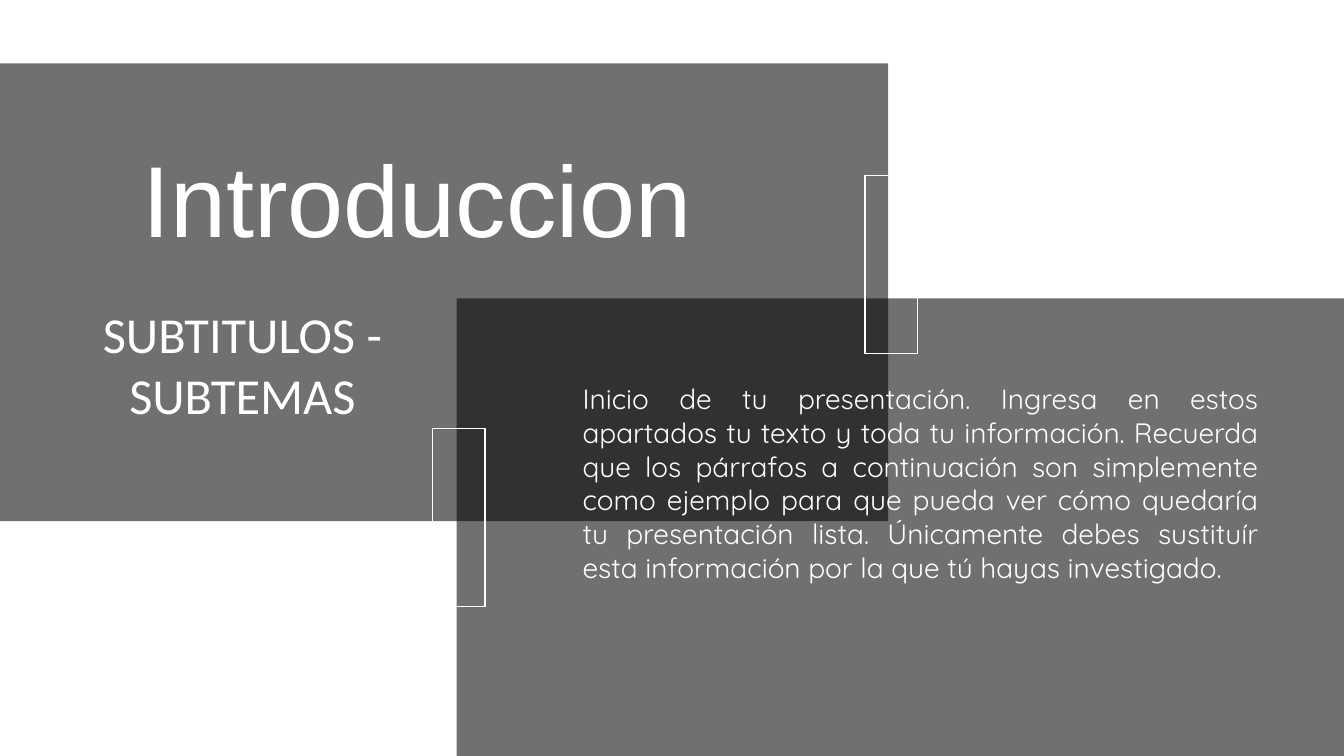
from pptx import Presentation
from pptx.dml.color import RGBColor
from pptx.enum.shapes import MSO_SHAPE as Shape
from pptx.enum.text import MSO_AUTO_SIZE as AutoSize, PP_ALIGN as Align
from pptx.oxml.ns import qn
from pptx.util import Inches, Pt
from lxml import etree

WHITE = "FFFFFF"
BLACK = "000000"
BODY = (
    "Inicio de tu presentación. Ingresa en estos apartados tu texto y toda tu "
    "información. Recuerda que los párrafos a continuación son simplemente como "
    "ejemplo para que pueda ver cómo quedaría tu presentación lista. Únicamente "
    "debes sustituír esta información por la que tú hayas investigado."
)


def color(value):
    return RGBColor.from_string(value)


def add_rectangle(page, left, top, width, height):
    rectangle = page.shapes.add_shape(
        Shape.RECTANGLE, Inches(left), Inches(top), Inches(width), Inches(height)
    )
    rectangle.shadow.inherit = False
    return rectangle


def add_panel(page, left, top):
    panel = add_rectangle(page, left, top, 8.81, 4.54)
    panel.fill.solid()
    panel.fill.fore_color.rgb = color(BLACK)
    panel.line.fill.background()
    fill_color = panel.fill._xPr.find(qn("a:solidFill"))[0]
    etree.SubElement(fill_color, qn("a:alpha")).set("val", "56000")


def add_frame(page, left, top):
    frame = add_rectangle(page, left, top, 0.52, 1.77)
    frame.fill.background()
    frame.line.color.rgb = color(WHITE)
    frame.line.width = Pt(1)


def add_text(page, left, top, width, height, text, size, font, align=Align.CENTER):
    box = page.shapes.add_textbox(
        Inches(left), Inches(top), Inches(width), Inches(height)
    )
    box.text_frame.word_wrap = True
    box.text_frame.auto_size = AutoSize.SHAPE_TO_FIT_TEXT
    box.text_frame.text = text
    para = box.text_frame.paragraphs[0]
    para.alignment = align
    span = para.runs[0]
    span.font.size = Pt(size)
    span.font.name = font
    span.font.color.rgb = color(WHITE)


def main():
    deck = Presentation()
    deck.slide_width = Inches(13.33)
    deck.slide_height = Inches(7.5)
    page = deck.slides.add_slide(deck.slide_layouts[6])

    add_panel(page, 0, 0.63)
    add_panel(page, 4.53, 2.96)
    add_text(page, 1.25, 1.31, 5.77, 1.31, "Introduccion", 72, "Arial")
    add_text(page, 0.76, 2.96, 3.29, 1.31, "SUBTITULOS - SUBTEMAS", 36, "Calibri")
    add_text(page, 5.68, 3.74, 6.9, 2.79, BODY, 20, "Quicksand", Align.JUSTIFY)
    add_frame(page, 8.58, 1.74)
    add_frame(page, 4.29, 4.25)

    deck.save("out.pptx")


if __name__ == "__main__":
    main()
